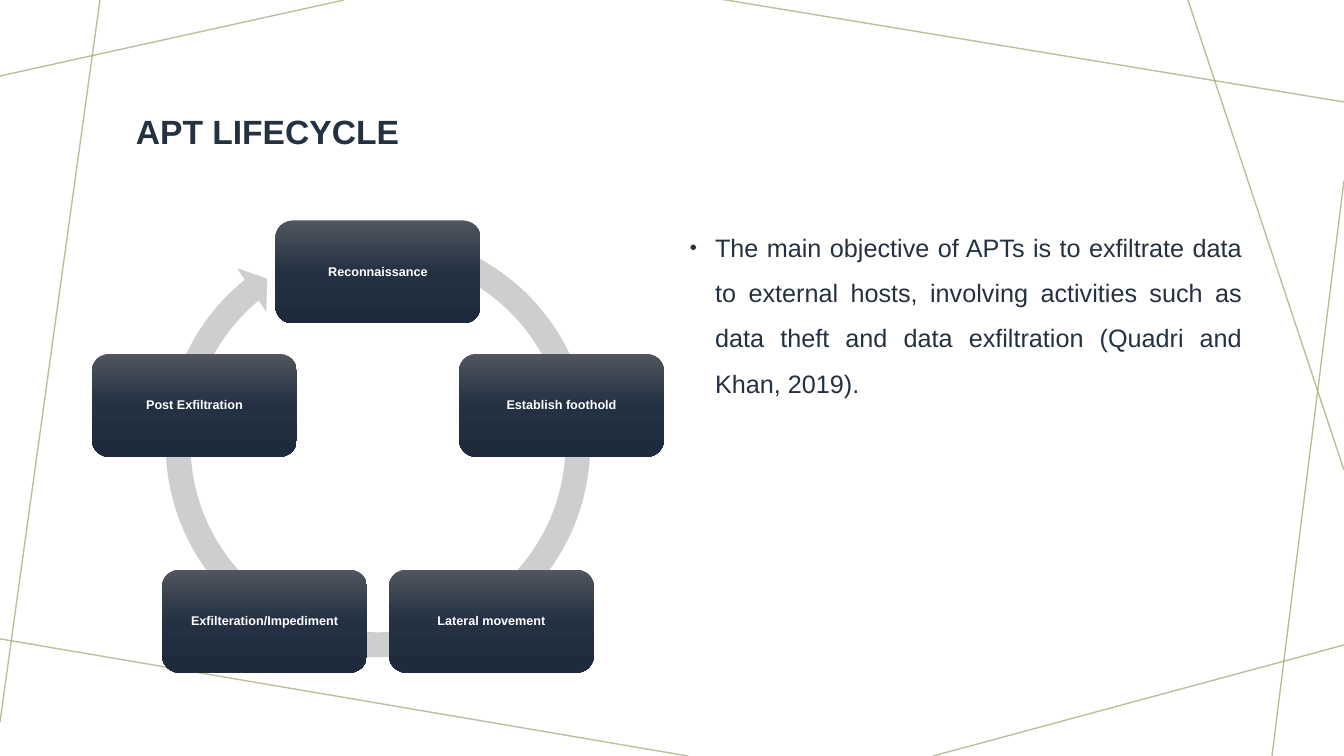
import copy
import math
from lxml import etree
from pptx import Presentation
from pptx import util as u
from pptx.dml.color import RGBColor
from pptx.enum import shapes, text
from pptx.oxml.ns import qn

TITLE = "APT LIFECYCLE"
STAGES = ["Reconnaissance", "Establish foothold", "Lateral movement",
          "Exfilteration/Impediment", "Post Exfiltration"]
OBJECTIVE = ("The main objective of APTs is to exfiltrate data to external hosts, "
             "involving activities such as data theft and data exfiltration "
             "(Quadri and Khan, 2019).")
BACKGROUND_LINES = [
    (344, 0, 0, 76), (100, 0, 0, 722), (688, 756, -5, 638), (1344, 645, 933, 756),
    (1344, 181, 1272, 756), (1344, 470, 1188, 0), (1344, 102, 720, -1),
]
OLIVE, NAVY, GREY, WHITE = "9CA671", "243141", "CDCECF", "FFFFFF"
STAGE_GRADIENT = [(0, "51565F"), (0.5, "233142"), (1, "1D2B3C")]
CENTER_X, CENTER_Y, RADIUS = 378, 465, 193
STAGE_WIDTH, STAGE_HEIGHT = 205, 103
ARROW_BOX = (152, 219, 452, 452)
ARROW_ADJUSTMENTS = [0.055, 3.307, 138.496, 173.413, 0.058]


def px(*lengths):
    return [u.Emu(round(length * 914400 / 100.8)) for length in lengths]


def rgb(color):
    return RGBColor.from_string(color)


def add_xml(parent, tag, **attributes):
    return etree.SubElement(parent, qn(tag), attributes)


def write(shape, words, size, color, bold, alignment, spacing, anchor):
    frame = shape.text_frame
    frame.word_wrap = True
    frame.vertical_anchor = anchor
    frame.text = words
    paragraph = frame.paragraphs[0]
    paragraph.alignment = alignment
    paragraph.line_spacing = spacing
    font = paragraph.font
    font.name, font.size, font.bold = "Arial", u.Pt(size), bold
    font.color.rgb = rgb(color)
    return paragraph


def add_background_line(slide, ends):
    line = slide.shapes.add_connector(shapes.MSO_CONNECTOR.STRAIGHT, *px(*ends))
    line.line.width = u.Pt(1)
    line.line.color.rgb = rgb(OLIVE)
    properties = line._element.spPr
    add_xml(properties.find(".//" + qn("a:srgbClr")), "a:alpha", val="70000")
    add_xml(properties, "a:effectLst")


def add_plain_shape(slide, kind, box):
    shape = slide.shapes.add_shape(kind, *px(*box))
    shape.shadow.inherit = False
    shape.line.fill.background()
    return shape


def add_cycle_arrow(slide):
    arrow = add_plain_shape(slide, shapes.MSO_SHAPE.CIRCULAR_ARROW, ARROW_BOX)
    for index, value in enumerate(ARROW_ADJUSTMENTS):
        arrow.adjustments[index] = value
    arrow.fill.solid()
    arrow.fill.fore_color.rgb = rgb(GREY)


def add_stage(slide, index, name):
    angle = 2 * math.pi * index / len(STAGES)
    left = CENTER_X + RADIUS * math.sin(angle) - STAGE_WIDTH / 2
    top = CENTER_Y - RADIUS * math.cos(angle) - STAGE_HEIGHT / 2
    stage = add_plain_shape(slide, shapes.MSO_SHAPE.ROUNDED_RECTANGLE,
                            (left, top, STAGE_WIDTH, STAGE_HEIGHT))
    stage.fill.gradient()
    stage.fill.gradient_angle = 270
    first_stop = stage._element.spPr.find(".//" + qn("a:gs"))
    first_stop.addnext(copy.deepcopy(first_stop))
    for stop, (position, color) in zip(stage.fill.gradient_stops, STAGE_GRADIENT):
        stop.position = position
        stop.color.rgb = rgb(color)
    write(stage, name, 9, WHITE, True, text.PP_ALIGN.CENTER, 0.9, text.MSO_ANCHOR.MIDDLE)


def add_objective(slide):
    box = slide.shapes.add_textbox(*px(680, 212, 572, 469))
    paragraph = write(box, OBJECTIVE, 18, NAVY, False, text.PP_ALIGN.JUSTIFY, 1.5,
                      text.MSO_ANCHOR.TOP)
    paragraph.space_before = u.Pt(10)
    properties = paragraph._p.get_or_add_pPr()
    indent = u.Inches(0.25)
    properties.set("marL", str(indent))
    properties.set("indent", str(-indent))
    font_defaults = properties.find(qn("a:defRPr"))
    for tag, attributes in [("a:buSzPct", {"val": "80000"}),
                            ("a:buFont", {"typeface": "Arial"}),
                            ("a:buChar", {"char": "•"})]:
        font_defaults.addprevious(add_xml(properties, tag, **attributes))


def main():
    presentation = Presentation()
    presentation.slide_width, presentation.slide_height = px(1344, 756)
    slide = presentation.slides.add_slide(presentation.slide_layouts[6])
    for ends in BACKGROUND_LINES:
        add_background_line(slide, ends)
    title = slide.shapes.add_textbox(*px(126, 58, 1092, 152))
    write(title, TITLE, 24, NAVY, True, text.PP_ALIGN.LEFT, 0.9, text.MSO_ANCHOR.MIDDLE)
    add_cycle_arrow(slide)
    for index, name in enumerate(STAGES):
        add_stage(slide, index, name)
    add_objective(slide)
    presentation.save("out.pptx")


if __name__ == "__main__":
    main()
